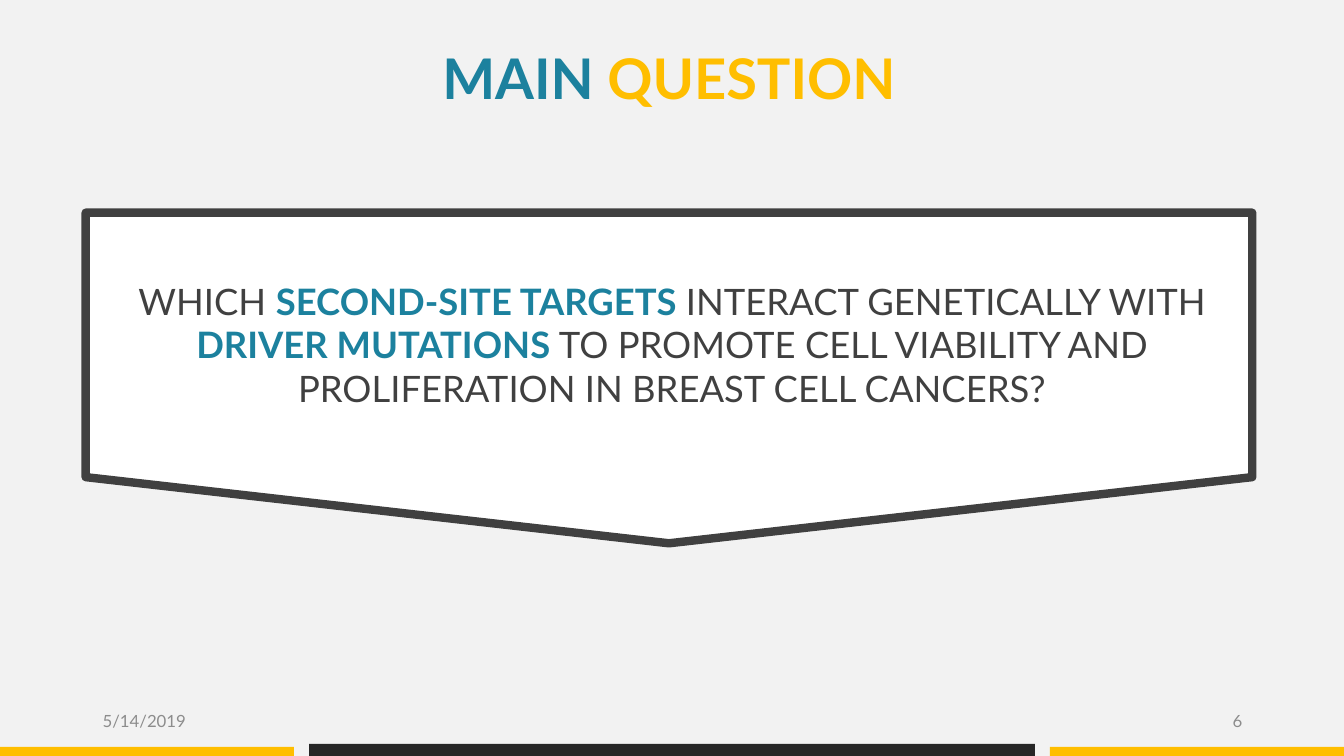
from pptx import Presentation
from pptx.dml.color import RGBColor
from pptx.enum.shapes import MSO_SHAPE as Shape
from pptx.enum.text import MSO_ANCHOR as Anchor, PP_ALIGN as Align
from pptx.util import Inches, Pt

WIDE, HIGH = 13.33, 7.5
FONT = "Lato"
TEAL = RGBColor(0x1C, 0x81, 0x9E)
GOLD = RGBColor(0xFF, 0xBE, 0x00)
DARK = RGBColor(0x40, 0x40, 0x40)
BLACK = RGBColor(0x26, 0x26, 0x26)
GREY = RGBColor(0x8C, 0x8C, 0x8C)
PALE = RGBColor(0xF2, 0xF2, 0xF2)
WHITE = RGBColor(0xFF, 0xFF, 0xFF)


def add_text(slide, box, runs, size, align=Align.CENTER, anchor=Anchor.TOP, pad=(0, 0)):
    frame = slide.shapes.add_textbox(*map(Inches, box)).text_frame
    frame.word_wrap = True
    frame.vertical_anchor = anchor
    frame.margin_left = frame.margin_right = Inches(pad[0])
    frame.margin_top = frame.margin_bottom = Inches(pad[1])
    para = frame.paragraphs[0]
    para.alignment = align
    for text, color, bold in runs:
        run = para.add_run()
        run.text = text
        run.font.name = FONT
        run.font.size = Pt(size)
        run.font.bold = bold
        run.font.color.rgb = color


def add_form(slide, kind, box, fill, line=None, width=0):
    form = slide.shapes.add_shape(kind, *map(Inches, box))
    form.shadow.inherit = False
    form.fill.solid()
    form.fill.fore_color.rgb = fill
    if line is None:
        form.line.fill.background()
    else:
        form.line.color.rgb = line
        form.line.width = Pt(width)


def add_bars(slide, box):
    left, top, width, height = box
    mid, gap = 0.54 * width, 0.15
    side = (width - mid) / 2 - gap
    thin = 0.75 * height
    for start in (left, left + width - side):
        add_form(slide, Shape.RECTANGLE, (start, top + height - thin, side, thin), GOLD)
    add_form(slide, Shape.RECTANGLE, (left + side + gap, top, mid, height), BLACK)


def add_foot(slide, box, date, page):
    left, top, width, height = box
    part = 3
    for text, start, align in ((date, left, Align.LEFT),
                               (page, left + width - part, Align.RIGHT)):
        add_text(slide, (start, top, part, height), [(text, GREY, False)], 12,
                 align=align, anchor=Anchor.MIDDLE, pad=(0.1, 0.05))


def add_panel(slide, box, runs):
    left, top, width, height = box
    add_form(slide, Shape.FLOWCHART_OFFPAGE_CONNECTOR, box, WHITE, DARK, 6)
    add_text(slide, (left + 0.3, top + 0.2 * height, width - 0.53, 0.4 * height), runs, 26)


def main():
    deck = Presentation()
    deck.slide_width, deck.slide_height = Inches(WIDE), Inches(HIGH)
    slide = deck.slides.add_slide(deck.slide_layouts[6])
    slide.background.fill.solid()
    slide.background.fill.fore_color.rgb = PALE
    add_bars(slide, (0, HIGH - 0.12, WIDE, 0.12))
    add_foot(slide, (0.92, 6.95, 11.5, 0.4), "5/14/2019", "6")
    add_panel(slide, (0.85, 2.11, 11.57, 3.28), [
        ("WHICH ", DARK, False),
        ("SECOND-SITE TARGETS ", TEAL, True),
        ("INTERACT GENETICALLY WITH ", DARK, False),
        ("DRIVER MUTATIONS", TEAL, True),
        (" TO PROMOTE CELL VIABILITY AND PROLIFERATION IN BREAST CELL CANCERS?", DARK, False),
    ])
    add_text(slide, (0.75, 0.43, 11.77, 0.67),
             [("MAIN", TEAL, True), (" QUESTION", GOLD, True)], 40)
    deck.save("out.pptx")


if __name__ == "__main__":
    main()
